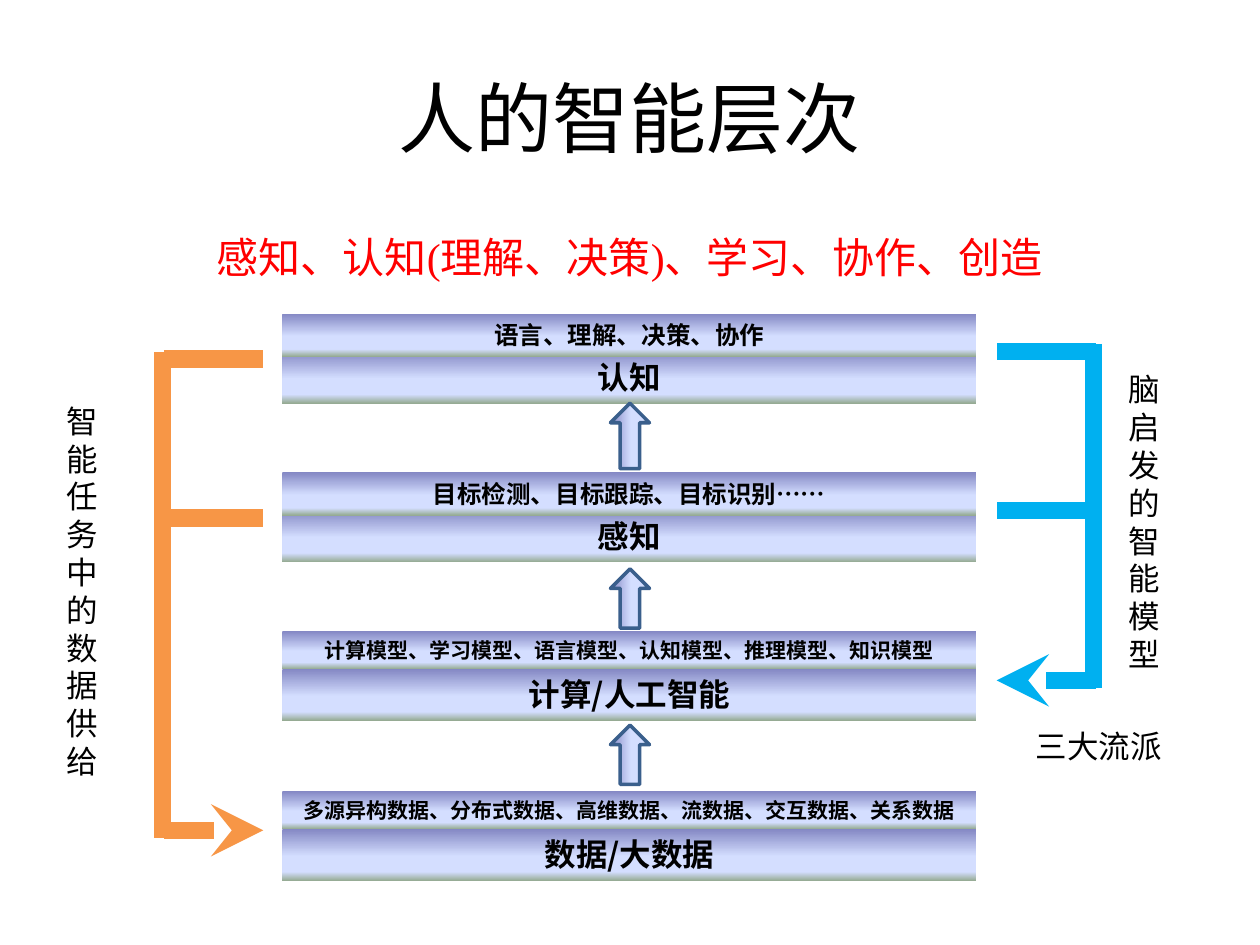
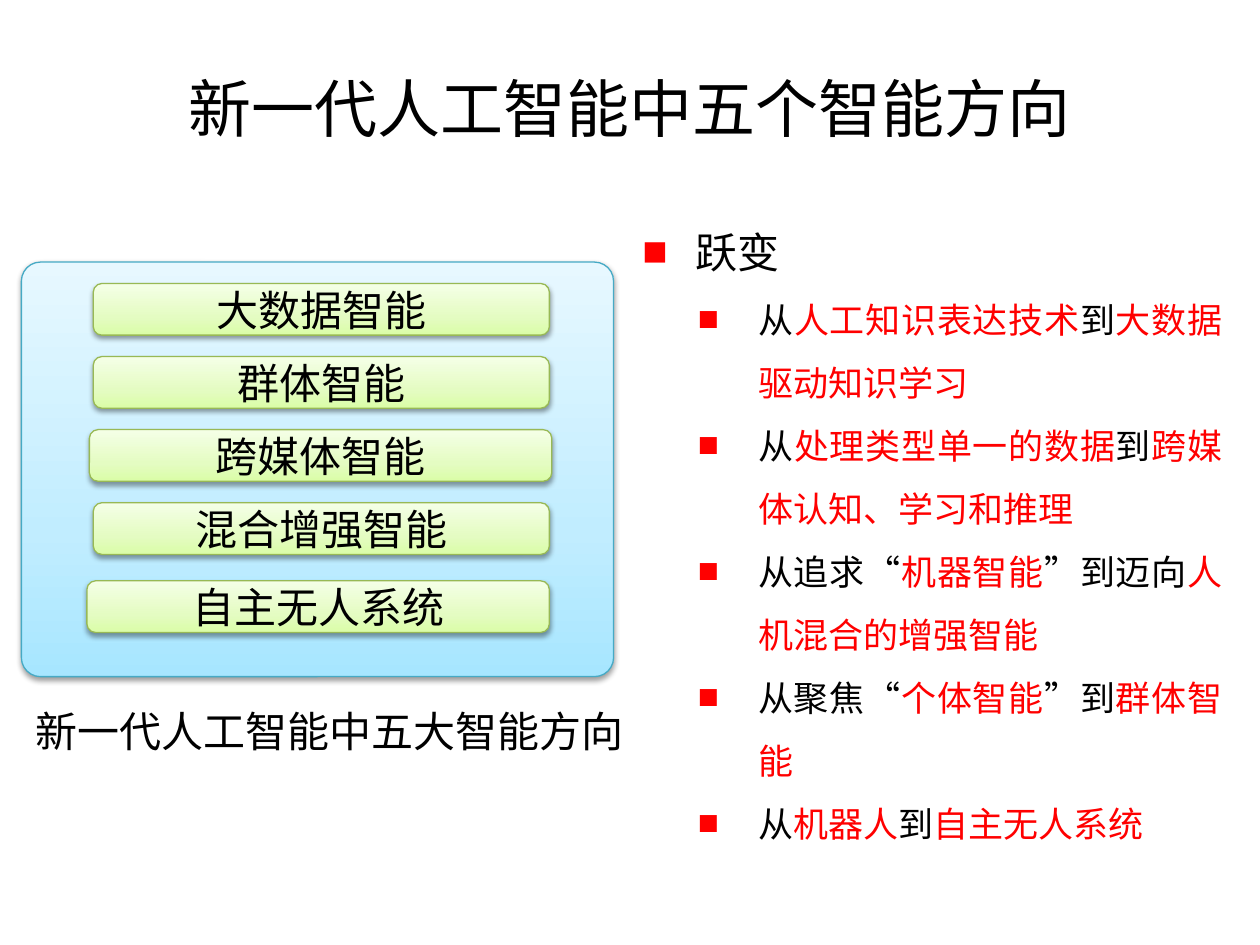
from dataclasses import dataclass

from lxml import etree
from pptx import Presentation
from pptx.dml.color import RGBColor
from pptx.enum.lang import MSO_LANGUAGE_ID
from pptx.enum.shapes import MSO_CONNECTOR, MSO_SHAPE
from pptx.enum.text import MSO_ANCHOR, PP_ALIGN
from pptx.oxml.ns import qn
from pptx.util import Inches, Pt

RECT = MSO_SHAPE.RECTANGLE
ROUND = MSO_SHAPE.ROUNDED_RECTANGLE
ARROW = MSO_SHAPE.RIGHT_ARROW
STRAIGHT = MSO_CONNECTOR.STRAIGHT
LEFT, CENTER, JUSTIFY = PP_ALIGN.LEFT, PP_ALIGN.CENTER, PP_ALIGN.JUSTIFY
TOP, MIDDLE = MSO_ANCHOR.TOP, MSO_ANCHOR.MIDDLE
CHINESE = MSO_LANGUAGE_ID.SIMPLIFIED_CHINESE


@dataclass(frozen=True)
class Theme:
    """Colours, fonts and type sizes shared by the slides."""
    black: str = "000000"
    red: str = "FF0000"
    blue: str = "00B0F0"
    orange: str = "F79646"
    navy: str = "3A5F8C"
    teal: str = "46AAC5"
    green: str = "98B955"
    steel: tuple = ((0, "8488C4"), (53, "D4DEFF"), (83, "D4DEFF"), (100, "96AB94"))
    sky: tuple = ((0, "A7E6FF"), (35, "C1EDFF"), (100, "E7F8FF"))
    lime: tuple = ((0, "DAFDA7"), (35, "E4FCC2"), (100, "F5FFE7"))
    sans: str = "Noto Sans CJK SC"
    serif: str = "Times New Roman"
    round: str = "Cabin"
    title: int = 44
    small_title: int = 36
    head: int = 24
    body: int = 20
    label: int = 18
    leading: float = 1.2


THEME = Theme()

LAYERS = [
    (2.49, "认知", "语言、理解、决策、协作", 14),
    (3.75, "感知", "目标检测、目标跟踪、目标识别……", 14),
    (5.01, "计算/人工智能", "计算模型、学习模型、语言模型、认知模型、推理模型、知识模型", 12),
    (6.28, "数据/大数据", "多源异构数据、分布式数据、高维数据、流数据、交互数据、关系数据", 12),
]
RISES = [(3.46, 0.52), (4.75, 0.47), (5.99, 0.47)]
FIELDS = [
    (0.57, 0.17, 3.62, "大数据智能"),
    (0.57, 0.75, 3.62, "群体智能"),
    (0.54, 1.33, 3.67, "跨媒体智能"),
    (0.57, 1.91, 3.62, "混合增强智能"),
    (0.52, 2.53, 3.67, "自主无人系统"),
]
SHIFTS = [
    ("从", "人工知识表达技术", "到", "大数据驱动知识学习"),
    ("从", "处理类型单一的数据", "到", "跨媒体认知、学习和推理"),
    ("从追求“", "机器智能", "”到迈向", "人机混合的增强智能"),
    ("从聚焦“", "个体智能", "”到", "群体智能"),
    ("从", "机器人", "到", "自主无人系统"),
]


def inches(*values):
    """Turn numbers into lengths."""
    return [Inches(value) for value in values]


def add(parent, tag, **attrs):
    """Append a drawing element and return it."""
    node = etree.SubElement(parent, qn(tag))
    for key, value in attrs.items():
        node.set(key, str(value))
    return node


def style(run, size, color=THEME.black, name=THEME.sans, bold=False):
    """Format one run."""
    font = run.font
    font.size, font.bold = Pt(size), bold
    font.color.rgb = RGBColor.from_string(color)
    font.name, font.language_id = name, CHINESE
    add(run.font._element, "a:ea", typeface=THEME.sans)


def space(para, size, lines=1):
    """Set the line pitch from the type size."""
    para.line_spacing = Pt(size * THEME.leading * lines)


def write(shape, text, size, align=CENTER, anchor=TOP, lines=1, **look):
    """Set and format the one paragraph of a shape."""
    frame = shape.text_frame
    frame.word_wrap = True
    frame.vertical_anchor = anchor
    frame.text = text
    para = frame.paragraphs[0]
    para.alignment = align
    if anchor == TOP:
        space(para, size, lines)
    style(para.runs[0], size, **look)


def label(slide, box, text, size, **look):
    """Add a text box with one paragraph."""
    write(slide.shapes.add_textbox(*inches(*box)), text, size, **look)


def blend(slide, kind, box, stops, angle, line=None, width=0.75):
    """Add a preset shape with a gradient fill."""
    shape = slide.shapes.add_shape(kind, *inches(*box))
    shape.shadow.inherit = False
    shape.fill.gradient()
    grad = shape._element.spPr.find(qn("a:gradFill"))
    for child in list(grad):
        grad.remove(child)
    grad.set("rotWithShape", "1")
    chain = add(grad, "a:gsLst")
    for place, color in stops:
        stop = add(chain, "a:gs", pos=place * 1000)
        add(stop, "a:srgbClr", val=color)
    add(grad, "a:lin", ang=angle * 60000, scaled=0)
    if line:
        shape.line.color.rgb = RGBColor.from_string(line)
        shape.line.width = Pt(width)
    else:
        shape.line.fill.background()
    return shape


def shade(shape):
    """Give a shape a soft shadow below."""
    effects = shape._element.spPr.find(qn("a:effectLst"))
    outer = add(effects, "a:outerShdw", blurRad=Pt(3.1), dist=Pt(1.6),
                dir=5400000, rotWithShape=0)
    add(add(outer, "a:srgbClr", val=THEME.black), "a:alpha", val=38000)


def bar(slide, start, end, color, tip=False):
    """Draw a thick line, with an arrowhead at its end if asked."""
    line = slide.shapes.add_connector(STRAIGHT, *inches(*start, *end))
    line.line.color.rgb = RGBColor.from_string(color)
    line.line.width = Pt(10)
    props = line._element.spPr
    if tip:
        add(props.find(qn("a:ln")), "a:tailEnd", type="stealth")
    add(props, "a:effectLst")


def bracket(slide, spine, root, tip, rows, color):
    """Draw a spine with arms, the last of which is an arrow."""
    for row in rows:
        bar(slide, (root, row), (tip, row), color, row == rows[-1])
    bar(slide, (spine, rows[0] - 0.06), (spine, rows[-1] + 0.06), color)


def layer(slide, left, top, width, name, detail, size):
    """Stack the detail band over the name band."""
    bands = [(0.3, 0.41, name, THEME.label),
             (0, 0.34 if size > 12 else 0.3, detail, size)]
    for drop, height, text, points in bands:
        box = (left, top + drop, width, height)
        write(blend(slide, RECT, box, THEME.steel, 90), text, points, bold=True)


def rise(slide, middle, center, length, width=0.31):
    """Draw an upward arrow around a centre point."""
    box = (middle - length / 2, center - width / 2, length, width)
    blend(slide, ARROW, box, THEME.steel, 90, THEME.navy, 2).rotation = 270


def levels(slide):
    """Build the slide of the levels of human mind."""
    label(slide, (0.5, 0.3, 9, 1.25), "人的智能层次", THEME.title, anchor=MIDDLE)
    label(slide, (0, 1.39, 10, 0.78), "感知、认知(理解、决策)、学习、协作、创造",
          THEME.head, lines=2, color=THEME.red, name=THEME.serif)
    for top, name, detail, size in LAYERS:
        layer(slide, 2.24, top, 5.51, name, detail, size)
    for center, length in RISES:
        rise(slide, 5, center, length)
    bracket(slide, 8.68, 8.7, 7.91, (2.79, 4.05, 5.4), THEME.blue)
    bracket(slide, 1.29, 1.3, 2.09, (2.85, 4.11, 6.59), THEME.orange)
    label(slide, (8.86, 2.89, 0.55, 2.52), "脑启发的智能模型", THEME.label, align=LEFT)
    label(slide, (0.43, 3.14, 0.55, 3.13), "智能任务中的数据供给", THEME.label, align=LEFT)
    label(slide, (7.97, 5.72, 1.5, 0.4), "三大流派", THEME.label)


def panel(slide, left, top, width, height):
    """Draw the panel with its five fields."""
    back = blend(slide, ROUND, (left, top, width, height), THEME.sky, 270, THEME.teal)
    back.adjustments[0] = 0.046
    shade(back)
    for inset, drop, span, text in FIELDS:
        box = (left + inset, top + drop, span, 0.41)
        pill = blend(slide, ROUND, box, THEME.lime, 270, THEME.green)
        shade(pill)
        write(pill, text, THEME.head, anchor=MIDDLE, name=THEME.round)
        frame = pill.text_frame
        frame.word_wrap = False
        frame.margin_top = frame.margin_bottom = 0


def bullet(para, parts, size, margin, level=0):
    """Fill a bulleted paragraph, with every second part in red."""
    para.level = level
    para.alignment = JUSTIFY
    space(para, size, 1.5)
    props = para._p.get_or_add_pPr()
    props.set("marL", str(Inches(margin)))
    props.set("indent", str(Inches(-0.48)))
    add(add(props, "a:buClr"), "a:srgbClr", val=THEME.red)
    add(props, "a:buFont", typeface=THEME.serif)
    add(props, "a:buChar", char="■")
    for index, part in enumerate(parts):
        run = para.add_run()
        run.text = part
        style(run, size, THEME.red if index % 2 else THEME.black)


def shifts(slide, box):
    """List the leaps from old to new."""
    frame = slide.shapes.add_textbox(*inches(*box)).text_frame
    frame.word_wrap = True
    bullet(frame.paragraphs[0], ["跃变"], THEME.head, 0.42)
    for parts in SHIFTS:
        bullet(frame.add_paragraph(), parts, THEME.body, 0.92, 1)


def fields(slide):
    """Build the slide of the five fields."""
    label(slide, (0, 0.13, 10, 1.45), "新一代人工智能中五个智能方向",
          THEME.small_title, anchor=MIDDLE)
    panel(slide, 0.17, 2.08, 4.7, 3.29)
    label(slide, (0.14, 5.55, 4.95, 0.5), "新一代人工智能中五大智能方向", THEME.head)
    shifts(slide, (5, 1.55, 4.8, 5.81))


def main():
    """Build and save the deck."""
    deck = Presentation()
    deck.slide_width, deck.slide_height = inches(10, 7.5)
    for build in (levels, fields):
        build(deck.slides.add_slide(deck.slide_layouts[6]))
    deck.save("out.pptx")


if __name__ == "__main__":
    main()
